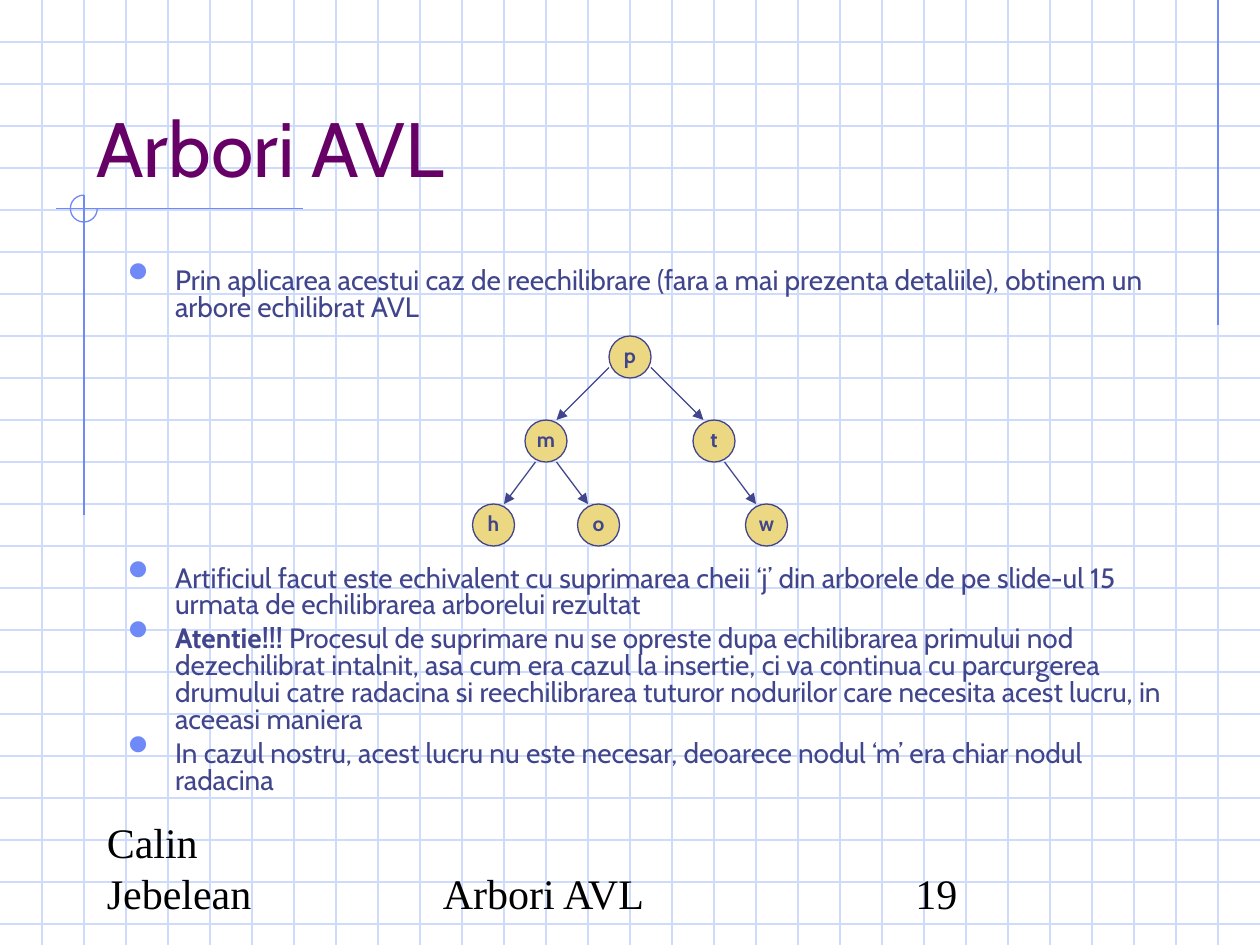
"""Build the AVL tree slide: grid background, title, bulleted text, tree and footer."""
from lxml import etree
from pptx import Presentation
from pptx.dml.color import RGBColor
from pptx.enum.shapes import MSO_CONNECTOR, MSO_SHAPE
from pptx.enum.text import MSO_ANCHOR, PP_ALIGN
from pptx.oxml.ns import qn
from pptx.util import Pt

STRAIGHT = MSO_CONNECTOR.STRAIGHT
ELLIPSE, ARC = MSO_SHAPE.OVAL, MSO_SHAPE.ARC
TOP, MIDDLE, BOTTOM = MSO_ANCHOR.TOP, MSO_ANCHOR.MIDDLE, MSO_ANCHOR.BOTTOM
CENTER = PP_ALIGN.CENTER

WIDTH, HEIGHT, GRID_STEP = 720, 540, 24
GRID, ACCENT, INK, GOLD = "CFDBFD", "6F89F7", "40458C", "ECD882"
TITLE_FONT = {"name": "Cabin", "size": Pt(44), "color": "660066"}
BODY_FONT = {"name": "Cabin", "size": Pt(16), "color": INK}
NODE_FONT = {"name": "Cabin", "size": Pt(12), "color": INK, "bold": True}
FOOTER_FONT = {"name": "Times New Roman", "size": Pt(24), "color": "000000"}

TITLE = ("Arbori AVL", (48, 24, 612, 90))
BODY_BOX = (66, 150, 612, 324)
BULLET_GAP, TREE_GAP = 4, 139.5
BULLETS = [
    (BULLET_GAP, [("Prin aplicarea acestui caz de reechilibrare (fara a mai prezenta detaliile), "
                   "obtinem un arbore echilibrat AVL", False)]),
    (TREE_GAP, [("Artificiul facut este echivalent cu suprimarea cheii ‘j’ din arborele de pe "
                 "slide-ul 15 urmata de echilibrarea arborelui rezultat", False)]),
    (BULLET_GAP, [("Atentie!!!", True),
                  (" Procesul de suprimare nu se opreste dupa echilibrarea primului nod "
                   "dezechilibrat intalnit, asa cum era cazul la insertie, ci va continua cu "
                   "parcurgerea drumului catre radacina si reechilibrarea tuturor nodurilor care "
                   "necesita acest lucru, in aceeasi maniera", False)]),
    (BULLET_GAP, [("In cazul nostru, acest lucru nu este necesar, deoarece nodul ‘m’ era chiar "
                   "nodul radacina", False)]),
]
ROOT, RADIUS = "p", 12
NODES = {"p": (360, 204), "m": (312, 252), "t": (408, 252),
         "h": (282, 300), "o": (342, 300), "w": (438, 300)}
EDGES = ["pm", "pt", "mh", "mo", "tw"]
FOOTER = [("Calin Jebelean", (54, 492, 150, 36)),
          ("Arbori AVL", (246, 492, 228, 36)),
          ("19", (516, 492, 150, 36))]
ACCENT_LINES = [(696, 0, 696, 186), (173, 119, 32, 119), (48, 111.5, 48, 294.5)]
ACCENT_ARC = (40.2, 111.5, 15.4, 15.4)


def rgb(value):
    return RGBColor.from_string(value)


def add_line(slide, ends, color, arrow=False):
    line = slide.shapes.add_connector(STRAIGHT, *map(Pt, ends))
    line.line.color.rgb = rgb(color)
    line.line.width = Pt(0.75)
    properties = line._element.spPr
    if arrow:
        etree.SubElement(properties.find(qn("a:ln")), qn("a:tailEnd"), type="triangle")
    etree.SubElement(properties, qn("a:effectLst"))


def add_run(paragraph, text, font_values):
    run = paragraph.add_run()
    run.text = text
    for key, value in font_values.items():
        if key == "color":
            run.font.color.rgb = rgb(value)
        else:
            setattr(run.font, key, value)


def add_text_box(slide, box, anchor):
    frame = slide.shapes.add_textbox(*map(Pt, box)).text_frame
    frame.word_wrap = True
    frame.vertical_anchor = anchor
    return frame


def add_outline(slide, kind, box, color):
    shape = slide.shapes.add_shape(kind, *map(Pt, box))
    shape.shadow.inherit = False
    shape.line.color.rgb = rgb(color)
    shape.line.width = Pt(0.75)
    return shape


def add_background(slide):
    for y in range(GRID_STEP, HEIGHT, GRID_STEP):
        add_line(slide, (0, y, WIDTH, y), GRID)
    for x in range(GRID_STEP, WIDTH, GRID_STEP):
        add_line(slide, (x, 0, x, HEIGHT), GRID)
    for ends in ACCENT_LINES:
        add_line(slide, ends, ACCENT)
    arc = add_outline(slide, ARC, ACCENT_ARC, ACCENT)
    arc.fill.background()
    arc.adjustments[0], arc.adjustments[1] = 0, 162


def add_bullets(slide):
    frame = add_text_box(slide, BODY_BOX, TOP)
    for index, (gap, runs) in enumerate(BULLETS):
        paragraph = frame.add_paragraph() if index else frame.paragraphs[0]
        paragraph.line_spacing = 0.8
        paragraph.space_before = Pt(gap)
        properties = paragraph._p.get_or_add_pPr()
        properties.set("marL", str(Pt(27)))
        properties.set("indent", str(-Pt(27)))
        bullet_color = etree.SubElement(properties, qn("a:buClr"))
        etree.SubElement(bullet_color, qn("a:srgbClr"), val=ACCENT)
        etree.SubElement(properties, qn("a:buSzPct"), val="220000")
        etree.SubElement(properties, qn("a:buChar"), char="•")
        for text, bold in runs:
            add_run(paragraph, text, {**BODY_FONT, "bold": bold})


def add_tree(slide):
    half = RADIUS / 2
    for key, (x, y) in NODES.items():
        box = (x - RADIUS, y - RADIUS, 2 * RADIUS, 2 * RADIUS)
        node = add_outline(slide, ELLIPSE, box, INK)
        node.fill.solid()
        node.fill.fore_color.rgb = rgb(GOLD)
        frame = node.text_frame
        margins = {"margin_left": 0, "margin_right": 0, "margin_top": 0, "margin_bottom": Pt(2)}
        for name, value in {**margins, "word_wrap": False, "vertical_anchor": MIDDLE}.items():
            setattr(frame, name, value)
        frame.paragraphs[0].alignment = CENTER
        add_run(frame.paragraphs[0], key, NODE_FONT)
    for parent, child in EDGES:
        (x1, y1), (x2, y2) = NODES[parent], NODES[child]
        side = 1 if x2 > x1 else -1
        dx, dy = (RADIUS, half) if parent == ROOT else (half, RADIUS)
        ends = (x1 + side * dx, y1 + dy, x2 - side * half, y2 - RADIUS)
        add_line(slide, ends, INK, arrow=True)


def main():
    deck = Presentation()
    deck.slide_width, deck.slide_height = Pt(WIDTH), Pt(HEIGHT)
    slide = deck.slides.add_slide(deck.slide_layouts[6])
    add_background(slide)
    add_bullets(slide)
    add_tree(slide)
    for (text, box), font in [(TITLE, TITLE_FONT)] + [(part, FOOTER_FONT) for part in FOOTER]:
        add_run(add_text_box(slide, box, BOTTOM).paragraphs[0], text, font)
    deck.save("out.pptx")


if __name__ == "__main__":
    main()
